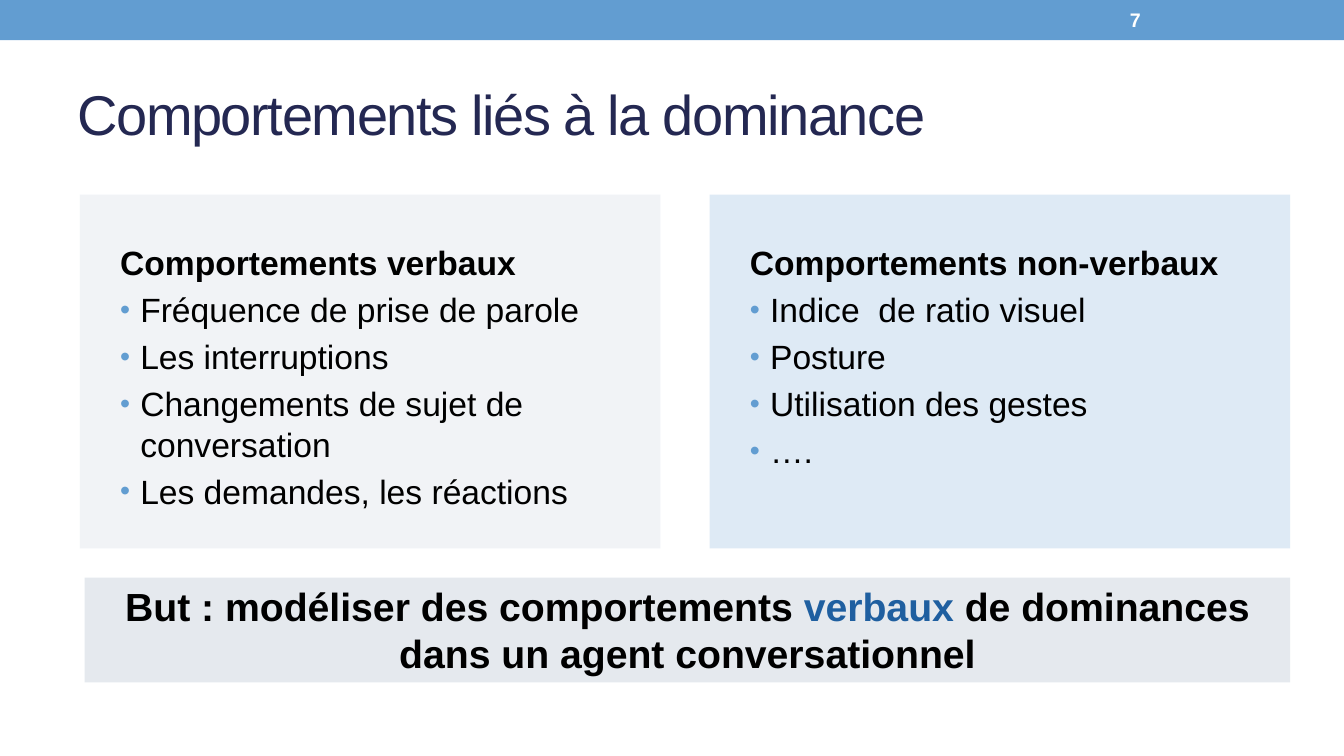
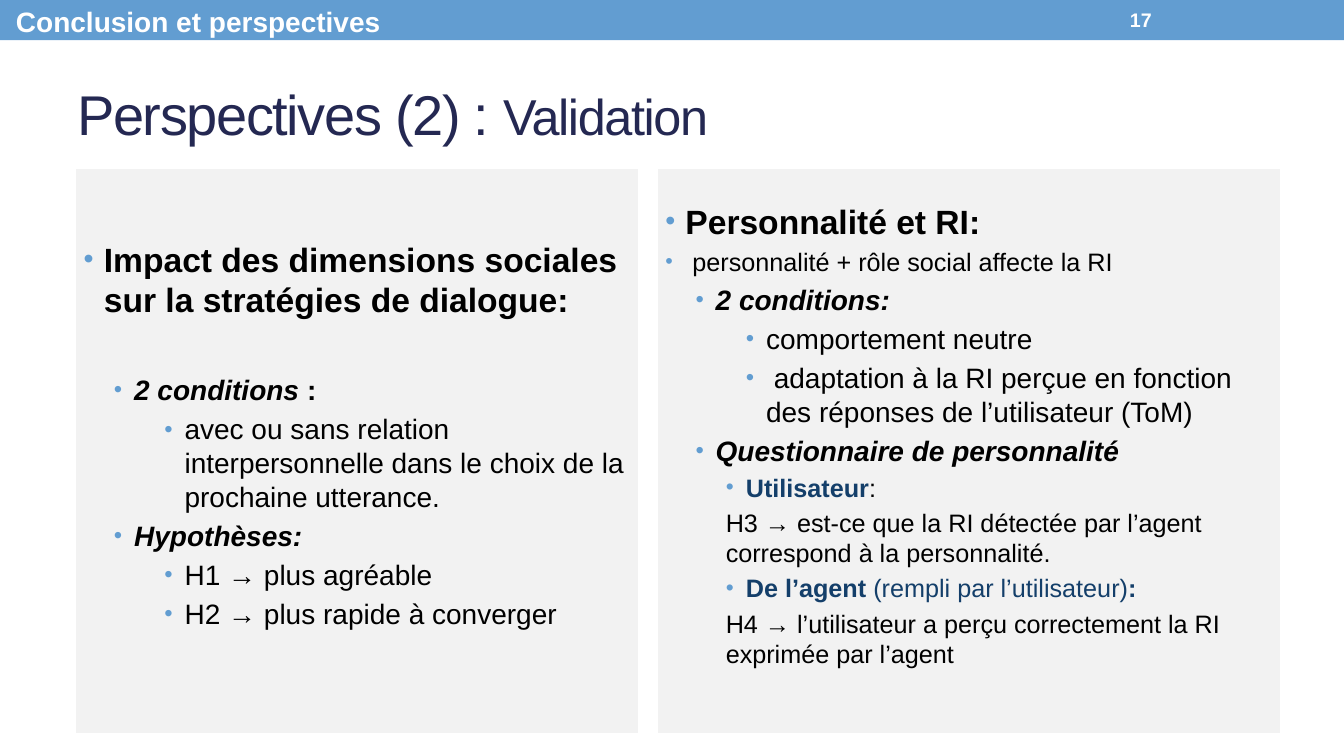
from dataclasses import dataclass, field, replace
from typing import Optional

from lxml import etree
from pptx import Presentation
from pptx.dml.color import RGBColor
from pptx.enum.shapes import MSO_SHAPE
from pptx.enum.text import MSO_ANCHOR, MSO_AUTO_SIZE, PP_ALIGN
from pptx.oxml.ns import qn
from pptx.util import Pt

RECTANGLE = MSO_SHAPE.RECTANGLE
TOP, MIDDLE = MSO_ANCHOR.TOP, MSO_ANCHOR.MIDDLE
LEFT, CENTER = PP_ALIGN.LEFT, PP_ALIGN.CENTER
NO_AUTOFIT = MSO_AUTO_SIZE.NONE
TWO_CONTENT = 3


@dataclass(frozen=True)
class Theme:
    font: str = "Arial"
    accent: str = "629DD1"
    title: str = "242852"
    text: str = "000000"
    white: str = "FFFFFF"
    mist: str = "E5E9EE"
    sky: str = "C0D8ED"
    pale: str = "F2F2F2"
    verbal: str = "1F5FA0"
    role: str = "143F6A"
    title_size: float = 40
    subtitle_size: float = 36
    goal_size: float = 28
    heading_size: float = 24
    item_size: float = 20
    detail_size: float = 18
    number_size: float = 14


THEME = Theme()


@dataclass(frozen=True)
class Box:
    left: float
    top: float
    width: float
    height: float

    def lengths(self) -> tuple:
        return Pt(self.left), Pt(self.top), Pt(self.width), Pt(self.height)


@dataclass(frozen=True)
class Style:
    size: float
    level: int = 0
    margin: float = 0
    hanging: float = 0
    bullet_percent: int = 85
    bold: bool = False
    italic: bool = False
    color: str = THEME.text
    align: PP_ALIGN = LEFT
    before: Optional[float] = None


@dataclass(frozen=True)
class Span:
    text: str
    bold: Optional[bool] = None
    italic: Optional[bool] = None
    color: Optional[str] = None
    size: Optional[float] = None
    spacing: Optional[float] = None


@dataclass(frozen=True)
class Para:
    style: Style
    spans: list


@dataclass(frozen=True)
class Panel:
    box: Box
    fill: str
    paras: list = field(default_factory=list)
    opacity: int = 100
    outline: float = 0
    anchor: MSO_ANCHOR = TOP
    inset_top: float = 3.6
    inset_bottom: float = 3.6


BAND = Box(0, 0, 960, 28.8)
TITLE = Box(48, 41.76, 864, 77.76)
NUMBER = Box(800, 1.44, 112.3, 25.92)
SECTION = Box(4.3, 0, 325.4, 31.7)
GOAL = Box(60.5, 412.6, 861.1, 74.9)

TITLE_STYLE = Style(THEME.title_size, color=THEME.title)
NUMBER_STYLE = Style(THEME.number_size, bold=True, color=THEME.white)
SECTION_STYLE = replace(NUMBER_STYLE, size=THEME.item_size)
GOAL_STYLE = Style(THEME.goal_size, bold=True, align=CENTER)
BEHAVIOUR_HEADING = Style(THEME.heading_size, 1, 21.6, bold=True)
BEHAVIOUR_ITEM = Style(THEME.heading_size, 1, 36, 14.4)
HEADING = Style(THEME.heading_size, 0, 14.4, 14.4, bold=True)
SUMMARY = replace(HEADING, size=THEME.detail_size, bold=False)
TOPIC = Style(THEME.item_size, 1, 36, 14.4, bold=True, italic=True)
FIRST_TOPIC = replace(TOPIC, before=38)
ITEM = Style(THEME.item_size, 2, 72, 14.4)
ROLE = Style(THEME.detail_size, 2, 57.6, 14.4, 90, color=THEME.role)
HYPOTHESIS = Style(THEME.detail_size, 2, 43.2)


def para(style: Style, *spans) -> Para:
    """Accept plain strings as spans without overrides."""
    return Para(style, [Span(s) if isinstance(s, str) else s for s in spans])


def set_bullet(paragraph, style: Style) -> None:
    properties = paragraph._p.get_or_add_pPr()
    properties.set("marL", str(Pt(style.margin)))
    properties.set("indent", str(Pt(-style.hanging)))
    if not style.hanging:
        etree.SubElement(properties, qn("a:buNone"))
        return
    color = etree.SubElement(properties, qn("a:buClr"))
    etree.SubElement(color, qn("a:srgbClr"), val=THEME.accent)
    etree.SubElement(properties, qn("a:buSzPct"), val=str(style.bullet_percent * 1000))
    etree.SubElement(properties, qn("a:buFont"), typeface=THEME.font)
    etree.SubElement(properties, qn("a:buChar"), char="•")


def add_span(paragraph, span: Span) -> None:
    run = paragraph.add_run()
    run.text = span.text
    if span.bold is not None:
        run.font.bold = span.bold
    if span.italic is not None:
        run.font.italic = span.italic
    if span.color:
        run.font.color.rgb = RGBColor.from_string(span.color)
    if span.size:
        run.font.size = Pt(span.size)
    if span.spacing is not None:
        run._r.get_or_add_rPr().set("spc", str(int(span.spacing * 100)))


def write(shape, paras: list, anchor: MSO_ANCHOR = TOP) -> None:
    frame = shape.text_frame
    frame.word_wrap = True
    frame.auto_size = NO_AUTOFIT
    frame.vertical_anchor = anchor
    for index, content in enumerate(paras):
        paragraph = frame.add_paragraph() if index else frame.paragraphs[0]
        style = content.style
        set_bullet(paragraph, style)
        paragraph.level = style.level
        paragraph.alignment = style.align
        if index == 0:
            paragraph.space_before = Pt(0)
        elif style.before is not None:
            paragraph.space_before = Pt(style.before)
        font = paragraph.font
        font.name = THEME.font
        font.size = Pt(style.size)
        font.bold = style.bold
        font.italic = style.italic
        font.color.rgb = RGBColor.from_string(style.color)
        for span in content.spans:
            add_span(paragraph, span)


def place(shape, box: Box) -> None:
    shape.left, shape.top, shape.width, shape.height = box.lengths()


def paint(shape, color: str, opacity: int = 100) -> None:
    shape.fill.solid()
    shape.fill.fore_color.rgb = RGBColor.from_string(color)
    if opacity < 100:
        value = shape._element.spPr.find(".//" + qn("a:srgbClr"))
        etree.SubElement(value, qn("a:alpha"), val=str(opacity * 1000))


def add_rectangle(page, box: Box, color: str):
    shape = page.shapes.add_shape(RECTANGLE, *box.lengths())
    shape.shadow.inherit = False
    shape.line.fill.background()
    paint(shape, color)
    return shape


def add_label(page, box: Box, style: Style, text: str, anchor: MSO_ANCHOR) -> None:
    write(page.shapes.add_textbox(*box.lengths()), [para(style, text)], anchor)


def fill_panel(shape, panel: Panel) -> None:
    place(shape, panel.box)
    paint(shape, panel.fill, panel.opacity)
    if panel.outline:
        shape.line.color.rgb = RGBColor.from_string(THEME.white)
        shape.line.width = Pt(panel.outline)
    shape.text_frame.margin_top = Pt(panel.inset_top)
    shape.text_frame.margin_bottom = Pt(panel.inset_bottom)
    write(shape, panel.paras, panel.anchor)


def add_page(deck, number: int, title: list, panels: list, section: str = ""):
    """Add a page with the shared band, title, number and two panels."""
    page = deck.slides.add_slide(deck.slide_layouts[TWO_CONTENT])
    add_rectangle(page, BAND, THEME.accent)
    place(page.shapes.title, TITLE)
    spans = [replace(span, spacing=-1) for span in title]
    write(page.shapes.title, [para(TITLE_STYLE, *spans)], MIDDLE)
    for index, panel in enumerate(panels, start=1):
        fill_panel(page.placeholders[index], panel)
    if section:
        add_label(page, SECTION, SECTION_STYLE, section, TOP)
    add_label(page, NUMBER, NUMBER_STYLE, str(number), MIDDLE)
    return page


def behaviour_panel(left: float, fill: str, heading: str, items: list) -> Panel:
    paras = [para(BEHAVIOUR_HEADING, heading)]
    paras += [para(BEHAVIOUR_ITEM, item) for item in items]
    return Panel(Box(left, 139, 414.7, 252.7), fill, paras, opacity=52, inset_top=34)


def validation_panel(left: float, width: float, paras: list) -> Panel:
    return Panel(Box(left, 118.8, width, 406.8), THEME.pale, paras,
                 outline=3.5, anchor=MIDDLE, inset_bottom=27)


def add_dominance_page(deck) -> None:
    verbal = behaviour_panel(57, THEME.mist, "Comportements verbaux", [
        "Fréquence de prise de parole",
        "Les interruptions",
        "Changements de sujet de conversation",
        "Les demandes, les réactions",
    ])
    non_verbal = behaviour_panel(506.9, THEME.sky, "Comportements non-verbaux", [
        "Indice  de ratio visuel",
        "Posture",
        "Utilisation des gestes",
        "….",
    ])
    title = [Span("Comportements liés à la dominance")]
    page = add_page(deck, 7, title, [verbal, non_verbal])
    goal = para(GOAL_STYLE, "But : modéliser des comportements ",
                Span("verbaux", color=THEME.verbal),
                " de dominances dans un agent conversationnel")
    write(add_rectangle(page, GOAL, THEME.mist), [goal])


def add_validation_page(deck) -> None:
    dialogue = validation_panel(52.6, 404.6, [
        para(HEADING, "Impact des dimensions sociales sur la stratégies de dialogue:"),
        para(FIRST_TOPIC, "2 conditions ", Span(":", italic=False)),
        para(ITEM, "avec ou sans relation interpersonnelle dans le choix de la "
                   "prochaine utterance."),
        para(TOPIC, "Hypothèses:"),
        para(ITEM, "H1 → plus agréable"),
        para(ITEM, "H2 → plus rapide à converger"),
    ])
    personality = validation_panel(468, 447.8, [
        para(HEADING, "Personnalité et RI:"),
        para(SUMMARY, " personnalité + rôle social affecte la RI"),
        para(TOPIC, "2 conditions:"),
        para(ITEM, "comportement neutre"),
        para(ITEM, " adaptation à la RI perçue en fonction des réponses de "
                   "l’utilisateur (ToM)"),
        para(TOPIC, "Questionnaire de personnalité"),
        para(ROLE, Span("Utilisateur", bold=True), Span(":", color=THEME.text)),
        para(HYPOTHESIS, "H3 → est-ce que la RI détectée par l’agent correspond à la "
                         "personnalité."),
        para(ROLE, Span("De l’agent ", bold=True), "(rempli par l’utilisateur)",
             Span(":", bold=True)),
        para(HYPOTHESIS, "H4 → l’utilisateur a perçu correctement la RI exprimée par "
                         "l’agent"),
    ])
    title = [Span("Perspectives (2) : "), Span("Validation", size=THEME.subtitle_size)]
    add_page(deck, 17, title, [dialogue, personality], "Conclusion et perspectives")


def main() -> None:
    deck = Presentation()
    deck.slide_width, deck.slide_height = Pt(960), Pt(540)
    add_dominance_page(deck)
    add_validation_page(deck)
    deck.save("out.pptx")


if __name__ == "__main__":
    main()
